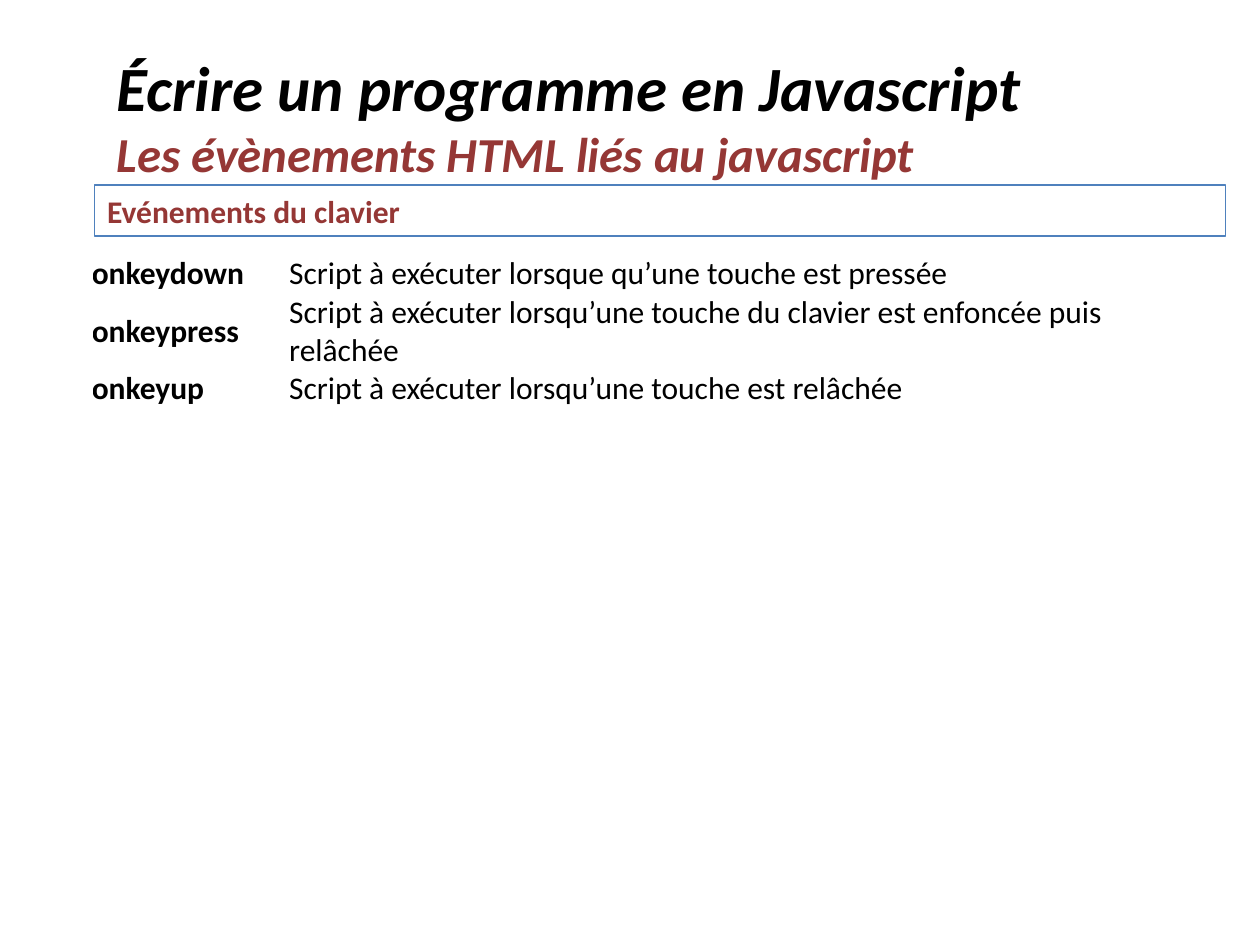
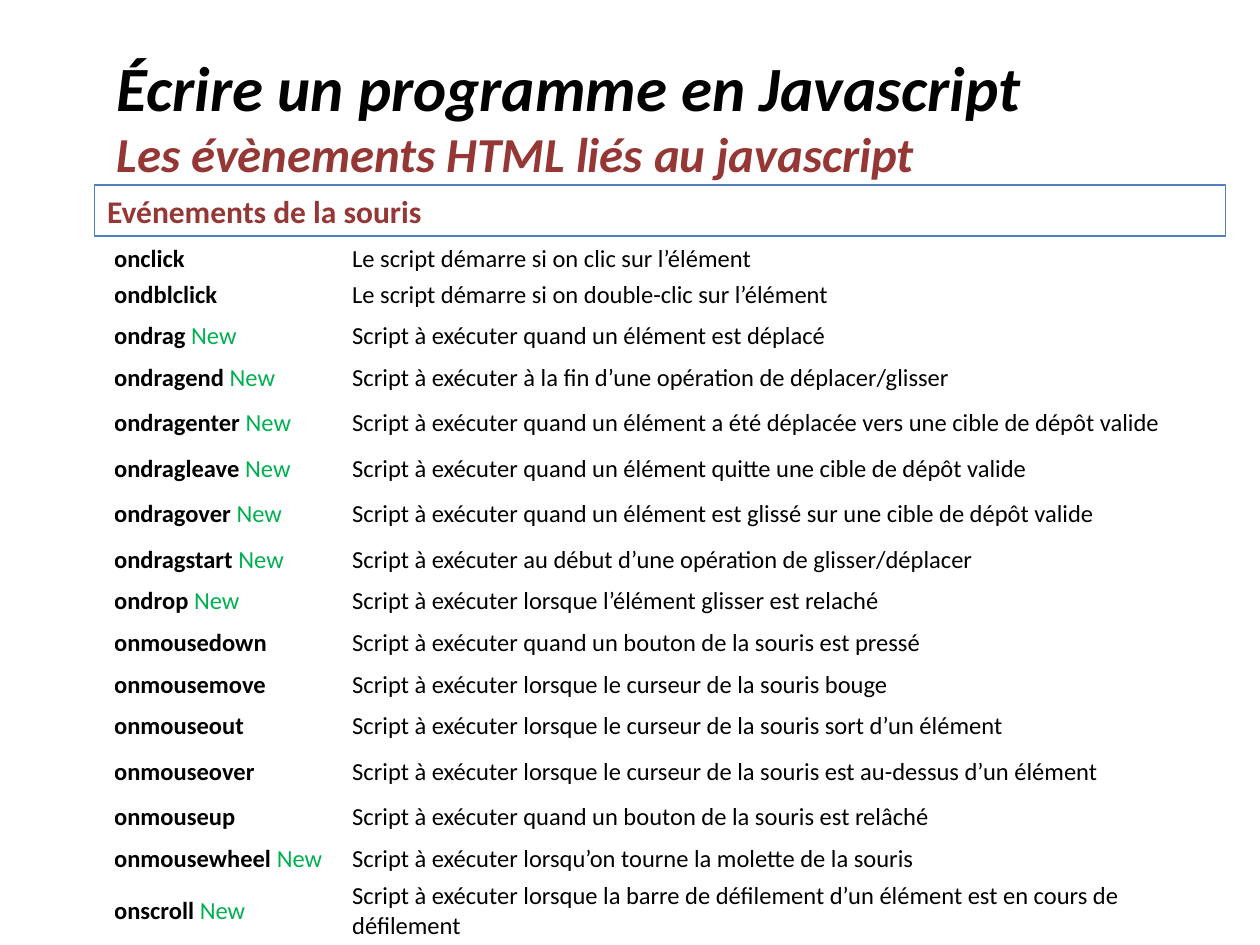
from pptx import Presentation
from pptx.dml.color import RGBColor
from pptx.enum.shapes import MSO_SHAPE
from pptx.enum.text import MSO_ANCHOR, MSO_AUTO_SIZE, PP_ALIGN
from pptx.util import Cm, Pt

RECTANGLE = MSO_SHAPE.RECTANGLE
MIDDLE = MSO_ANCHOR.MIDDLE
LEFT = PP_ALIGN.LEFT
NO_AUTOFIT = MSO_AUTO_SIZE.NONE

FONT = "Calibri"
COLOURS = {"text": "000000", "heading": "953735", "line": "4F81BD", "new": "00B050"}
TITLE_ONLY = 5

TITLE = "Écrire un programme en Javascript"
SUBTITLE = "Les évènements HTML liés au javascript"

# Each event: name, description, and whether it is marked as new
KEYBOARD_EVENTS = [
    ("onkeydown", "Script à exécuter lorsque qu’une touche est pressée", False),
    ("onkeypress", "Script à exécuter lorsqu’une touche du clavier est enfoncée puis relâchée", False),
    ("onkeyup", "Script à exécuter lorsqu’une touche est relâchée", False),
]
MOUSE_EVENTS = [
    ("onclick", "Le script démarre si on clic sur l’élément", False),
    ("ondblclick", "Le script démarre si on double-clic sur l’élément", False),
    ("ondrag", "Script à exécuter quand un élément est déplacé", True),
    ("ondragend", "Script à exécuter à la fin d’une opération de déplacer/glisser", True),
    ("ondragenter", "Script à exécuter quand un élément a été déplacée vers une cible de dépôt valide", True),
    ("ondragleave", "Script à exécuter quand un élément quitte une cible de dépôt valide", True),
    ("ondragover", "Script à exécuter quand un élément est glissé sur une cible de dépôt valide", True),
    ("ondragstart", "Script à exécuter au début d’une opération de glisser/déplacer", True),
    ("ondrop", "Script à exécuter lorsque l’élément glisser est relaché", True),
    ("onmousedown", "Script à exécuter quand un bouton de la souris est pressé", False),
    ("onmousemove", "Script à exécuter lorsque le curseur de la souris bouge", False),
    ("onmouseout", "Script à exécuter lorsque le curseur de la souris sort d’un élément", False),
    ("onmouseover", "Script à exécuter lorsque le curseur de la souris est au-dessus d’un élément", False),
    ("onmouseup", "Script à exécuter quand un bouton de la souris est relâché", False),
    ("onmousewheel", "Script à exécuter lorsqu’on tourne la molette de la souris", True),
    ("onscroll", "Script à exécuter lorsque la barre de défilement d’un élément est en cours de défilement", True),
]

# Row heights in centimetres
KEYBOARD_ROWS = [0.77, 1.55, 0.77]
NORMAL_ROW, TALL_ROW = 0.84, 0.99
MOUSE_ROWS = [0.6] + [TALL_ROW if row in (4, 6, 12) else NORMAL_ROW for row in range(1, 15)] + [1.27]


class EventDeck:
    """Holds the shared style and the current page."""

    def __init__(self):
        self.deck = Presentation()
        self.deck.slide_width, self.deck.slide_height = Cm(25.4), Cm(19.05)
        self.page = None

    def style(self, font, size, colour, bold, italic=False):
        font.name, font.size = FONT, Pt(size)
        font.bold, font.italic = bold, italic
        font.color.rgb = RGBColor.from_string(COLOURS[colour])

    def add_page(self):
        self.page = self.deck.slides.add_slide(self.deck.slide_layouts[TITLE_ONLY])

    def add_title(self):
        box = self.page.shapes.title
        box.left, box.top, box.width, box.height = Cm(2.1), Cm(0.74), Cm(22.43), Cm(3.18)
        frame = box.text_frame
        frame.auto_size = NO_AUTOFIT
        frame.vertical_anchor = MIDDLE
        para = frame.paragraphs[0]
        para.alignment = LEFT
        span = para.add_run()
        span.text = TITLE
        self.style(span.font, 36, "text", True, True)
        para.add_line_break()
        span = para.add_run()
        span.text = SUBTITLE
        self.style(span.font, 27.9, "heading", True, True)

    def add_heading(self, text):
        box = self.page.shapes.add_shape(RECTANGLE, Cm(1.91), Cm(3.73), Cm(22.8), Cm(1.03))
        box.shadow.inherit = False
        box.fill.background()
        box.line.color.rgb = RGBColor.from_string(COLOURS["line"])
        box.line.width = Pt(0.75)
        box.text_frame.word_wrap = True
        para = box.text_frame.paragraphs[0]
        para.text = text
        para.alignment = LEFT
        self.style(para.font, 18, "heading", True)

    def fill_cell(self, cell, text, size, bold, is_new=False):
        cell.fill.background()
        cell.vertical_anchor = MIDDLE
        cell.margin_left = cell.margin_right = cell.margin_top = cell.margin_bottom = 0
        para = cell.text_frame.paragraphs[0]
        self.style(para.font, size, "text", bold)
        para.add_run().text = text + " " if is_new else text
        if is_new:
            span = para.add_run()
            span.text = "New"
            self.style(span.font, size, "new", False)

    def add_events(self, events, left, top, widths, heights, size):
        frame = self.page.shapes.add_table(
            len(events), 2, Cm(left), Cm(top), Cm(sum(widths)), Cm(sum(heights)))
        table = frame.table
        table.first_row = table.horz_banding = False
        for column, width in zip(table.columns, widths):
            column.width = Cm(width)
        for row, height, (name, description, is_new) in zip(table.rows, heights, events):
            row.height = Cm(height)
            self.fill_cell(row.cells[0], name, size, True, is_new)
            self.fill_cell(row.cells[1], description, size, False)


def main():
    builder = EventDeck()
    pages = [
        ("Evénements du clavier", KEYBOARD_EVENTS, 1.85, 5.13, (3.98, 18.46), KEYBOARD_ROWS, 18),
        ("Evénements de la souris", MOUSE_EVENTS, 2.3, 4.92, (4.8, 16.4), MOUSE_ROWS, 14),
    ]
    for heading, *events_table in pages:
        builder.add_page()
        builder.add_title()
        builder.add_heading(heading)
        builder.add_events(*events_table)
    builder.deck.save("out.pptx")


if __name__ == "__main__":
    main()
